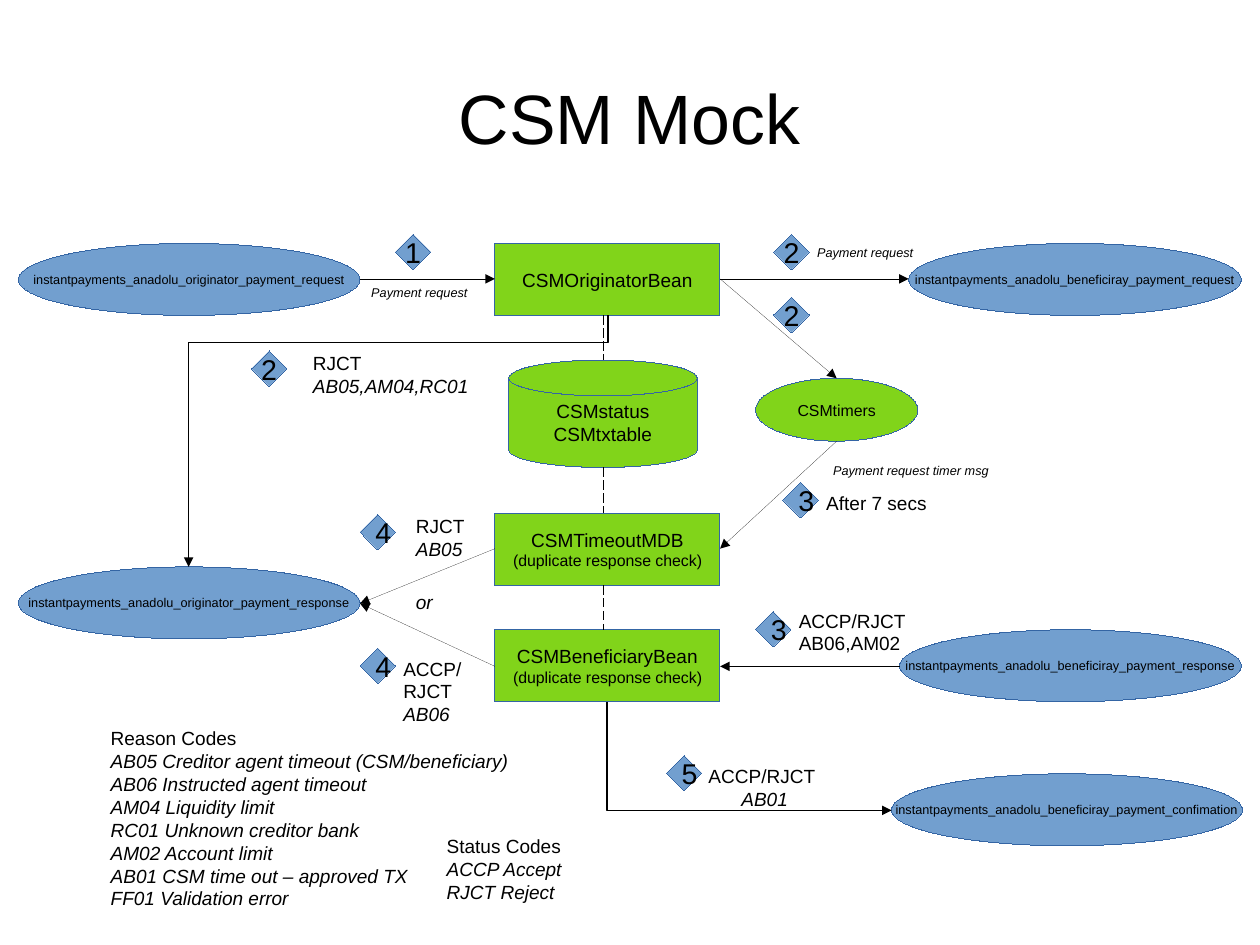
from dataclasses import dataclass

from lxml import etree
from pptx import Presentation
from pptx.dml.color import RGBColor
from pptx.enum.dml import MSO_LINE
from pptx.enum.shapes import MSO_CONNECTOR, MSO_SHAPE
from pptx.enum.text import MSO_ANCHOR, PP_ALIGN
from pptx.oxml.ns import qn
from pptx.util import Inches, Pt

CENTER, JUSTIFY = PP_ALIGN.CENTER, PP_ALIGN.JUSTIFY
MIDDLE = MSO_ANCHOR.MIDDLE
STRAIGHT, ELBOW = MSO_CONNECTOR.STRAIGHT, MSO_CONNECTOR.ELBOW
LONG_DASH = MSO_LINE.LONG_DASH
ELLIPSE, DIAMOND = MSO_SHAPE.OVAL, MSO_SHAPE.DIAMOND
RECTANGLE, DISK = MSO_SHAPE.RECTANGLE, MSO_SHAPE.FLOWCHART_MAGNETIC_DISK


@dataclass(frozen=True)
class Theme:
    """Colours, font and type sizes of the slide."""
    queue: RGBColor = RGBColor(0x72, 0x9F, 0xCF)
    component: RGBColor = RGBColor(0x81, 0xD4, 0x1A)
    outline: RGBColor = RGBColor(0x34, 0x65, 0xA4)
    ink: RGBColor = RGBColor(0, 0, 0)
    font: str = "Arial"
    title: int = 44
    step: int = 18
    body: int = 12
    detail: int = 10
    small: int = 8


THEME = Theme()
CM_PER_INCH = 2.54
NODE_HEIGHT = 0.63
BEAN_LEFT, BEAN_WIDTH = 4.33, 1.97
BEAN_RIGHT = BEAN_LEFT + BEAN_WIDTH
STEP_SIZE = 0.31


def write(frame, lines, align):
    """Fill a text frame with (text, size, italic) lines."""
    for index, (text, size, italic) in enumerate(lines):
        paragraph = frame.paragraphs[0] if index == 0 else frame.add_paragraph()
        paragraph.text = text
        paragraph.alignment = align
        paragraph.font.name = THEME.font
        paragraph.font.size = Pt(size)
        paragraph.font.italic = italic
        paragraph.font.color.rgb = THEME.ink


def set_stroke(shape, color, points):
    """Set colour and width of a stroke, where 0 points is a hairline."""
    shape.line.color.rgb = color
    stroke = shape._element.spPr.find(qn("a:ln"))
    stroke.set("w", str(int(Pt(points))))
    return stroke


def add_node(slide, kind, box, fill, lines, align=CENTER):
    """Add an outlined shape with unwrapped text."""
    node = slide.shapes.add_shape(kind, *map(Inches, box))
    node.shadow.inherit = False
    node.fill.solid()
    node.fill.fore_color.rgb = fill
    set_stroke(node, THEME.outline, 0)
    node.text_frame.word_wrap = False
    node.text_frame.vertical_anchor = MIDDLE
    write(node.text_frame, lines, align)


def add_queue(slide, left, top, width, name):
    """Add a message queue ellipse."""
    box = (left, top, width, NODE_HEIGHT)
    add_node(slide, ELLIPSE, box, THEME.queue, [(name, THEME.small, False)])


def add_bean(slide, top, name, detail=None):
    """Add a component box in the middle column."""
    lines = [(name, THEME.body, False)]
    if detail:
        lines.append((detail, THEME.detail, False))
    box = (BEAN_LEFT, top, BEAN_WIDTH, NODE_HEIGHT)
    add_node(slide, RECTANGLE, box, THEME.component, lines)


def add_step(slide, left, top, number, align):
    """Add a numbered step diamond."""
    box = (left, top, STEP_SIZE, STEP_SIZE)
    add_node(slide, DIAMOND, box, THEME.queue, [(number, THEME.step, False)], align)


def add_label(slide, box, plain=(), italic=(), size=THEME.body, last_align=JUSTIFY):
    """Add a text box with plain lines followed by italic lines."""
    frame = slide.shapes.add_textbox(*map(Inches, box)).text_frame
    frame.word_wrap = True
    lines = [(text, size, False) for text in plain]
    lines += [(text, size, True) for text in italic]
    write(frame, lines, JUSTIFY)
    frame.paragraphs[-1].alignment = last_align
    return frame


def add_line(slide, start, end, width=0, arrow=True, kind=STRAIGHT):
    """Add a connector, with an arrowhead at its end if wanted."""
    line = slide.shapes.add_connector(kind, *map(Inches, (*start, *end)))
    stroke = set_stroke(line, THEME.ink, width)
    if arrow:
        etree.SubElement(stroke, qn("a:tailEnd"), type="triangle")
    etree.SubElement(line._element.spPr, qn("a:effectLst"))
    return line


def add_elbow(slide, start, end, bend=None):
    """Add an arrow that leaves downwards and turns once, or twice at bend."""
    line = add_line(slide, start, end, width=0.79, kind=ELBOW)
    run, drop = abs(end[0] - start[0]), end[1] - start[1]
    line.left = Inches((start[0] + end[0] - drop) / 2)
    line.top = Inches((start[1] + end[1] - run) / 2)
    line.width, line.height = Inches(drop), Inches(run)
    frame = line._element.spPr.find(qn("a:xfrm"))
    frame.attrib.pop("flipH", None)
    rightwards = end[0] > start[0]
    frame.set("rot", str((270 if rightwards else 90) * 60000))
    if rightwards:
        frame.set("flipH", "1")
    geometry = line._element.spPr.find(qn("a:prstGeom"))
    if bend is None:
        geometry.set("prst", "bentConnector2")
    else:
        guides = geometry.find(qn("a:avLst"))
        etree.SubElement(guides, qn("a:gd"), name="adj1", fmla=f"val {round(bend * 100000)}")


def add_title(slide, text):
    """Place and format the slide title."""
    title = slide.shapes.title
    title.left, title.top, title.width, title.height = map(Inches, (0.55, 0.33, 9.92, 1.38))
    frame = title.text_frame
    frame.margin_left = frame.margin_right = frame.margin_top = frame.margin_bottom = 0
    frame.vertical_anchor = MIDDLE
    write(frame, [(text, THEME.title, False)], CENTER)


def main():
    """Build the CSM mock flow slide."""
    deck = Presentation()
    deck.slide_width = Inches(28 / CM_PER_INCH)
    deck.slide_height = Inches(21 / CM_PER_INCH)
    slide = deck.slides.add_slide(deck.slide_layouts[5])
    add_title(slide, "CSM Mock")

    for left, top, width, name in (
        (0.16, 2.13, 2.99, "originator_payment_request"),
        (0.16, 4.96, 2.99, "originator_payment_response"),
        (7.95, 2.13, 2.91, "beneficiray_payment_request"),
        (7.87, 5.51, 2.99, "beneficiray_payment_response"),
        (7.8, 6.77, 3.07, "beneficiray_payment_confimation"),
    ):
        add_queue(slide, left, top, width, f"instantpayments_anadolu_{name}")

    duplicate_check = "(duplicate response check)"
    add_bean(slide, 2.13, "CSMOriginatorBean")
    add_bean(slide, 4.49, "CSMTimeoutMDB", duplicate_check)
    add_bean(slide, 5.51, "CSMBeneficiaryBean", duplicate_check)
    tables = [(name, THEME.body, False) for name in ("CSMstatus", "CSMtxtable")]
    add_node(slide, DISK, (4.45, 3.15, 1.65, 0.94), THEME.component, tables)
    timers = [("CSMtimers", THEME.detail, False)]
    add_node(slide, ELLIPSE, (6.61, 3.31, 1.42, 0.55), THEME.component, timers)

    for top, bottom in ((2.76, 3.15), (4.09, 4.49), (5.12, 5.51)):
        link = add_line(slide, (5.28, top), (5.28, bottom), width=0.75, arrow=False)
        link.line.dash_style = LONG_DASH

    for start, end in (
        ((3.15, 2.44), (BEAN_LEFT, 2.44)),
        ((BEAN_LEFT, 4.8), (3.15, 5.28)),
        ((BEAN_LEFT, 5.83), (3.15, 5.28)),
        ((BEAN_RIGHT, 2.44), (7.95, 2.44)),
        ((BEAN_RIGHT, 2.44), (7.32, 3.31)),
        ((7.32, 3.86), (BEAN_RIGHT, 4.8)),
        ((7.87, 5.83), (BEAN_RIGHT, 5.83)),
    ):
        add_line(slide, start, end)
    add_elbow(slide, (5.31, 6.14), (7.8, 7.09))
    add_elbow(slide, (5.32, 2.76), (1.65, 4.96), bend=0.107)

    for left, top, number, align in (
        (3.46, 2.05, "1", CENTER), (6.77, 2.05, "2", CENTER),
        (6.77, 2.6, "2", CENTER), (2.2, 3.07, "2", CENTER),
        (6.85, 4.22, "3", JUSTIFY), (6.61, 5.35, "3", JUSTIFY),
        (3.15, 4.5, "4", JUSTIFY), (3.15, 5.67, "4", JUSTIFY),
        (5.83, 6.61, "5", JUSTIFY),
    ):
        add_step(slide, left, top, number, align)

    for box, text in (
        ((3.15, 2.44, 1.57, 0.31), "Payment request"),
        ((7.05, 2.09, 1.1, 0.24), "Payment request"),
        ((7.19, 4, 1.57, 0.31), "Payment request timer msg"),
    ):
        add_label(slide, box, italic=[text], size=THEME.small)

    add_label(slide, (2.64, 3.03, 1.57, 0.66), ["RJCT"], ["AB05,AM04,RC01"])
    add_label(slide, (7.13, 4.25, 1.18, 0.29), ["After 7 secs"])
    timeout = add_label(slide, (3.54, 4.45, 0.71, 0.47), ["RJCT\vAB05"])
    timeout.paragraphs[0].runs[-1].font.italic = True
    add_label(slide, (3.54, 5.12, 0.71, 0.29), italic=["or"])
    add_label(slide, (6.89, 5.28, 1.18, 0.47), ["ACCP/RJCT", "AB06,AM02"])
    add_label(slide, (3.43, 5.7, 1.18, 0.66), ["ACCP/", "RJCT"], ["AB06"])
    add_label(slide, (6.1, 6.64, 1.18, 0.47), ["ACCP/RJCT"], ["AB01"], last_align=CENTER)
    add_label(slide, (0.87, 6.31, 3.78, 1.59), ["Reason Codes"], [
        "AB05 Creditor agent timeout (CSM/beneficiary)", "AB06 Instructed agent timeout",
        "AM04 Liquidity limit", "RC01 Unknown creditor bank", "AM02 Account limit",
        "AB01 CSM time out – approved TX", "FF01 Validation error"])
    add_label(slide, (3.81, 7.25, 1.57, 0.66), ["Status Codes"], ["ACCP Accept", "RJCT Reject"])
    deck.save("out.pptx")


if __name__ == "__main__":
    main()
